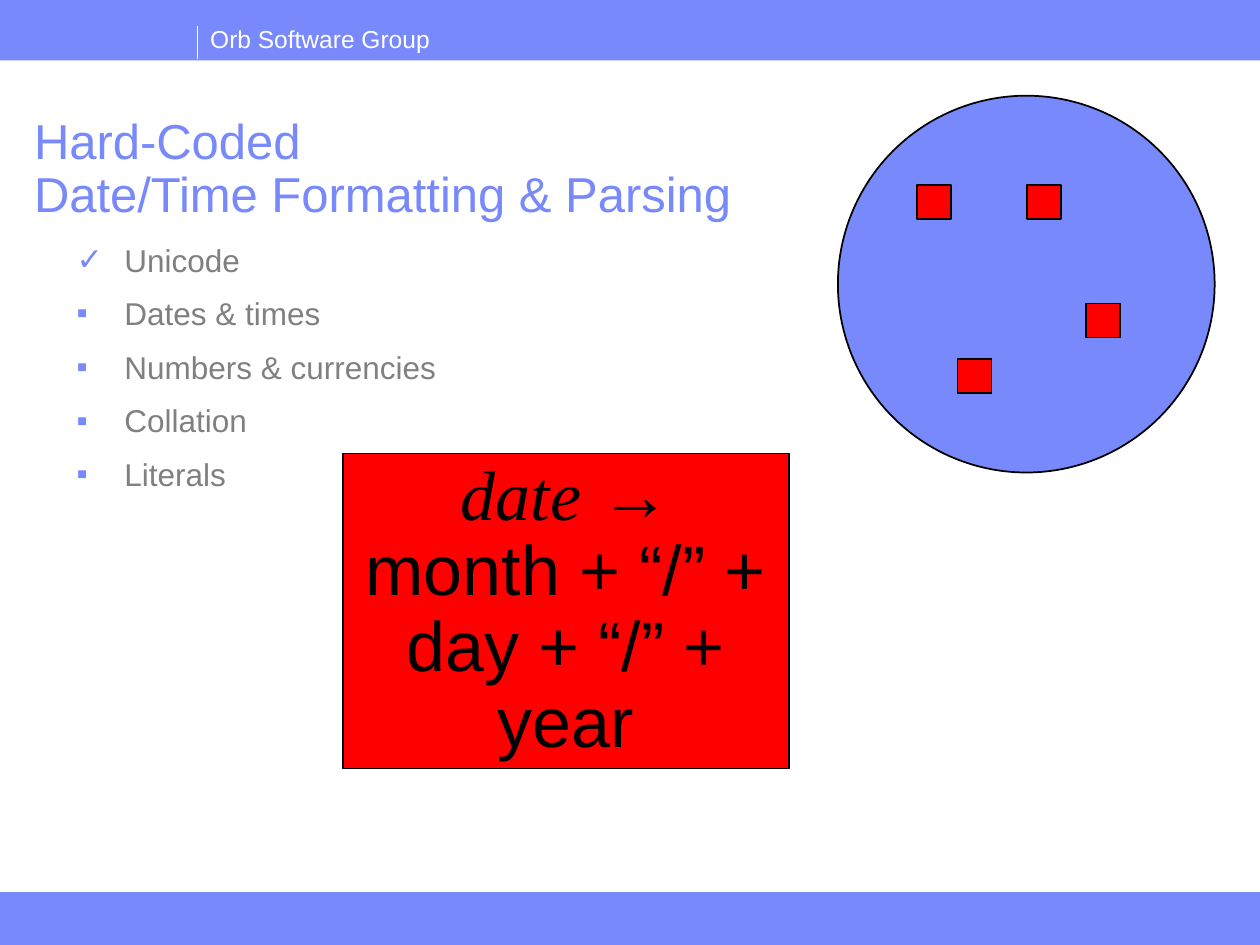
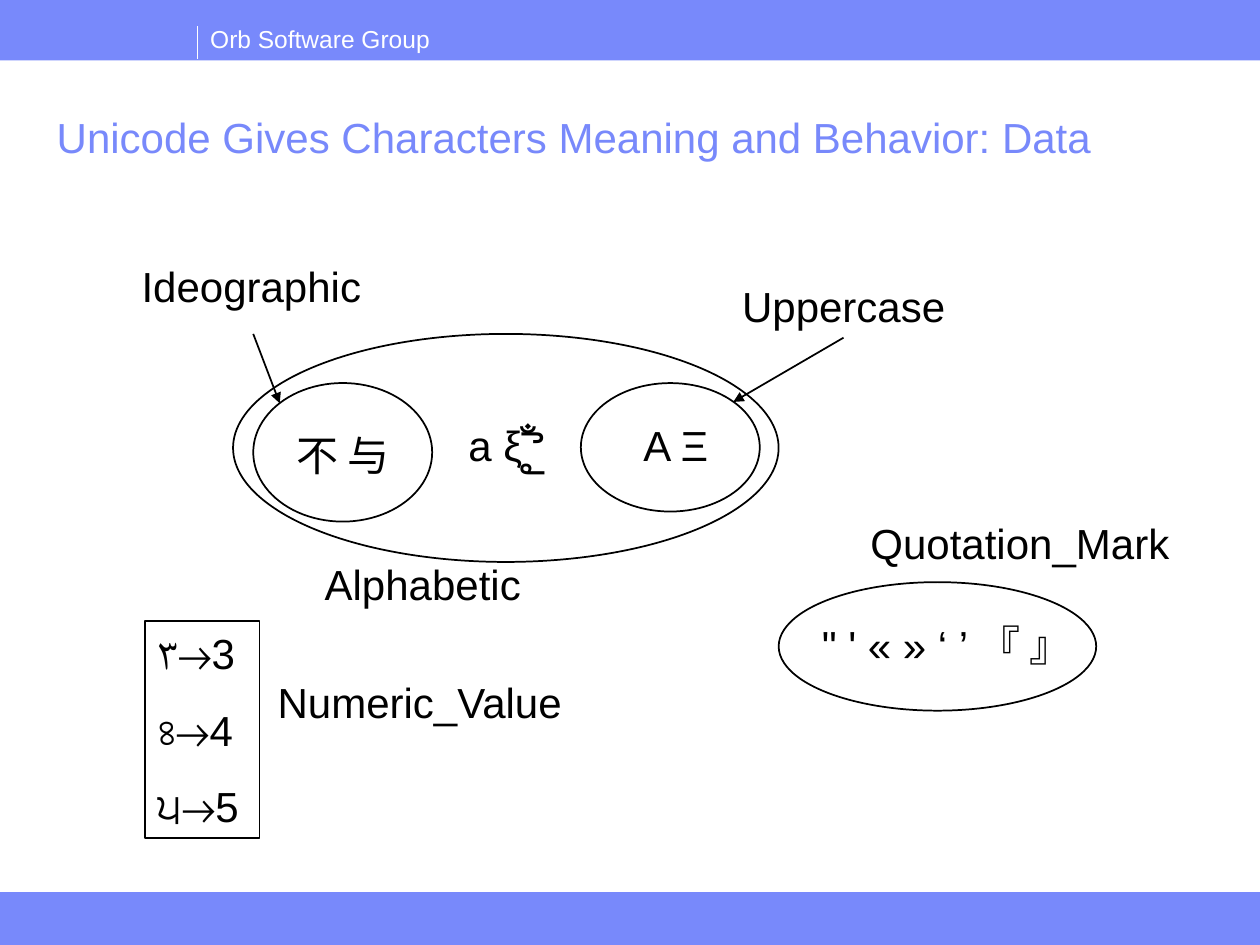
from dataclasses import dataclass
from lxml.etree import SubElement
from pptx import Presentation
from pptx.dml.color import RGBColor
from pptx.enum.shapes import MSO_CONNECTOR, MSO_SHAPE
from pptx.enum.text import MSO_ANCHOR, MSO_AUTO_SIZE, PP_ALIGN
from pptx.oxml.ns import qn
from pptx.util import Inches, Pt


@dataclass(frozen=True)
class Theme:
    """Colours, fonts and type sizes of the deck."""
    blue: RGBColor = RGBColor(0x78, 0x89, 0xFB)
    red: RGBColor = RGBColor(0xFF, 0, 0)
    black: RGBColor = RGBColor(0, 0, 0)
    white: RGBColor = RGBColor(0xFF, 0xFF, 0xFF)
    grey: RGBColor = RGBColor(0x80, 0x80, 0x80)
    sans: str = "Arial"
    serif: str = "Times New Roman"
    brand: int = 14
    item: int = 18
    label: int = 24
    title: int = 28
    code: int = 40


THEME = Theme()


def style(para, size, color, align=PP_ALIGN.LEFT):
    """Set the font and alignment of a paragraph."""
    para.alignment = align
    font = para.font
    font.name, font.size, font.color.rgb = THEME.sans, Pt(size), color


def draw(slide, kind, x, y, w, h, fill=None, line=THEME.black, width=1):
    """Add a flat preset shape."""
    shape = slide.shapes.add_shape(kind, Inches(x), Inches(y), Inches(w), Inches(h))
    shape.shadow.inherit = False
    if fill is None:
        shape.fill.background()
    else:
        shape.fill.solid()
        shape.fill.fore_color.rgb = fill
    if line is None:
        shape.line.fill.background()
    else:
        shape.line.color.rgb = line
        shape.line.width = Pt(width)
    return shape


def link(slide, start, end, color=THEME.black, width=1, arrow=False):
    """Add a straight line, with an arrowhead at its end if wanted."""
    line = slide.shapes.add_connector(
        MSO_CONNECTOR.STRAIGHT, *(Inches(v) for v in (*start, *end)))
    line.line.color.rgb = color
    line.line.width = Pt(width)
    if arrow:
        SubElement(line.line._get_or_add_ln(), qn("a:tailEnd"), type="triangle")
    SubElement(line._element.spPr, qn("a:effectLst"))
    return line


def label(slide, text, x, y, w, h=0.5, size=THEME.label, color=THEME.black,
          align=PP_ALIGN.CENTER):
    """Add a one-line text."""
    box = slide.shapes.add_textbox(Inches(x), Inches(y), Inches(w), Inches(h))
    box.text_frame.word_wrap = False
    box.text_frame.text = text
    style(box.text_frame.paragraphs[0], size, color, align)
    return box


def bands(slide):
    """Draw the top band with its group name and the bottom band."""
    draw(slide, MSO_SHAPE.RECTANGLE, 0, 0, 10, 0.48, THEME.blue, None)
    draw(slide, MSO_SHAPE.RECTANGLE, 0, 7.08, 10, 0.42, THEME.blue, THEME.blue, 0.25)
    label(slide, "Orb Software Group", 1.57, 0.14, 1.96, 0.34,
          THEME.brand, THEME.white, PP_ALIGN.LEFT)
    link(slide, (1.57, 0.21), (1.57, 0.47), THEME.white, 0.75)


def start(deck, text, x, y, w, h, size):
    """Add a slide with its bands and title."""
    slide = deck.slides.add_slide(deck.slide_layouts[5])
    bands(slide)
    title = slide.shapes.title
    title.left, title.top, title.width, title.height = map(Inches, (x, y, w, h))
    frame = title.text_frame
    frame.text = text
    frame.word_wrap = True
    frame.auto_size = MSO_AUTO_SIZE.NONE
    frame.vertical_anchor = MSO_ANCHOR.TOP
    para = frame.paragraphs[0]
    para.line_spacing = 0.9
    style(para, size, THEME.blue)
    return slide


def mark(para, char):
    """Give a paragraph a hanging blue bullet."""
    props = para._p.get_or_add_pPr()
    props.set("marL", str(Inches(0.38)))
    props.set("indent", str(-Inches(0.38)))
    SubElement(SubElement(props, qn("a:buClr")), qn("a:srgbClr"), val=str(THEME.blue))
    SubElement(props, qn("a:buFont"), typeface=THEME.sans)
    SubElement(props, qn("a:buChar"), char=char)


def topics(slide, x, y, w, h):
    """List the topics, with the first one ticked."""
    frame = slide.shapes.add_textbox(
        Inches(x), Inches(y), Inches(w), Inches(h)).text_frame
    frame.word_wrap = True
    frame.text = "Unicode\nDates & times\nNumbers & currencies\nCollation\nLiterals"
    for i, para in enumerate(frame.paragraphs):
        mark(para, "▪" if i else "✓")
        para.space_before = Pt(5.6 if i else 0)
        para.space_after = Pt(3.4)
        style(para, THEME.item, THEME.grey)


def globe(slide, x, y, size):
    """Draw the disc with its red spots."""
    draw(slide, MSO_SHAPE.OVAL, x, y, size, size, THEME.blue)
    for dx, dy in ((0.63, 0.71), (1.5, 0.71), (0.95, 2.09), (1.97, 1.65)):
        draw(slide, MSO_SHAPE.RECTANGLE, x + dx, y + dy, 0.27, 0.27, THEME.red)


def recipe(slide, x, y, w, h):
    """Draw the red card with the date pattern."""
    frame = draw(slide, MSO_SHAPE.RECTANGLE, x, y, w, h, THEME.red).text_frame
    frame.word_wrap = True
    frame.vertical_anchor = MSO_ANCHOR.MIDDLE
    para = frame.paragraphs[0]
    para.line_spacing = 0.9
    style(para, THEME.code, THEME.black, PP_ALIGN.CENTER)
    word = para.add_run()
    word.text = "date"
    word.font.name, word.font.italic = THEME.serif, True
    para.add_run().text = " → month + “/” + day + “/” + year"


def letters(slide, x, y, w, h):
    """Draw the alphabetic set, its two subsets and their names."""
    for dx, dy, dw, dh in ((0, 0, w, h), (2.76, 0.39, 1.42, 1.02),
                           (0.16, 0.39, 1.42, 1.1)):
        draw(slide, MSO_SHAPE.OVAL, x + dx, y + dy, dw, dh)
    for text, dx, dy, dw in (("Alphabetic", 0.53, 1.73, 1.95),
                             ("Ideographic", -0.87, -0.63, 2.03),
                             ("a ξ ँ ై", 1.72, 0.63, 0.9),
                             ("A Ξ ", 3.15, 0.63, 0.82),
                             ("不 与", 0.39, 0.71, 0.96)):
        label(slide, text, x + dx, y + dy, dw)
    upper = label(slide, "Uppercase", x + 3.94, y - 0.47, 1.81)
    arrow = link(slide, (x + 4.85, y + 0.03), (x + 3.97, y + 0.54), arrow=True)
    arrow.begin_connect(upper, 2)
    link(slide, (x + 0.16, y), (x + 0.37, y + 0.55), arrow=True)


def quotes(slide, x, y, w, h):
    """Draw the set of quotation marks and its name."""
    draw(slide, MSO_SHAPE.OVAL, x, y, w, h)
    label(slide, """" ' « » ‘ ’ 『 』""", x + 0.19, y + 0.25, 2.29)
    label(slide, "Quotation_Mark", x + 0.63, y - 0.56, 2.57)


def digits(slide, x, y, w, h):
    """Draw the box of digits with their values and its name."""
    frame = draw(slide, MSO_SHAPE.RECTANGLE, x, y, w, h).text_frame
    frame.word_wrap = False
    frame.vertical_anchor = MSO_ANCHOR.TOP
    frame.text = "٣→3\n৪→4\n੫→5"
    for i, para in enumerate(frame.paragraphs):
        para.space_before = Pt(15 if i else 0)
        style(para, THEME.label, THEME.black)
    label(slide, "Numeric_Value", x + 0.94, y + 0.39, 2.48)


def parsing(deck):
    """Build the slide on date and time formatting."""
    slide = start(deck, "Hard-Coded\vDate/Time Formatting & Parsing",
                  0.17, 0.88, 9.26, 0.94, THEME.title)
    globe(slide, 6.65, 0.76, 2.99)
    recipe(slide, 2.72, 3.6, 3.54, 2.5)
    topics(slide, 0.51, 1.86, 3.23, 2.12)


def meaning(deck):
    """Build the slide on character data."""
    slide = start(deck, "Unicode Gives Characters Meaning and Behavior: Data",
                  0.35, 0.88, 9.21, 0.52, THEME.label)
    letters(slide, 1.85, 2.65, 4.33, 1.81)
    quotes(slide, 6.18, 4.62, 2.52, 1.02)
    digits(slide, 1.15, 4.93, 0.91, 1.72)


def main():
    """Build and save the deck."""
    deck = Presentation()
    deck.slide_width, deck.slide_height = Inches(10), Inches(7.5)
    parsing(deck)
    meaning(deck)
    deck.save("out.pptx")


if __name__ == "__main__":
    main()
